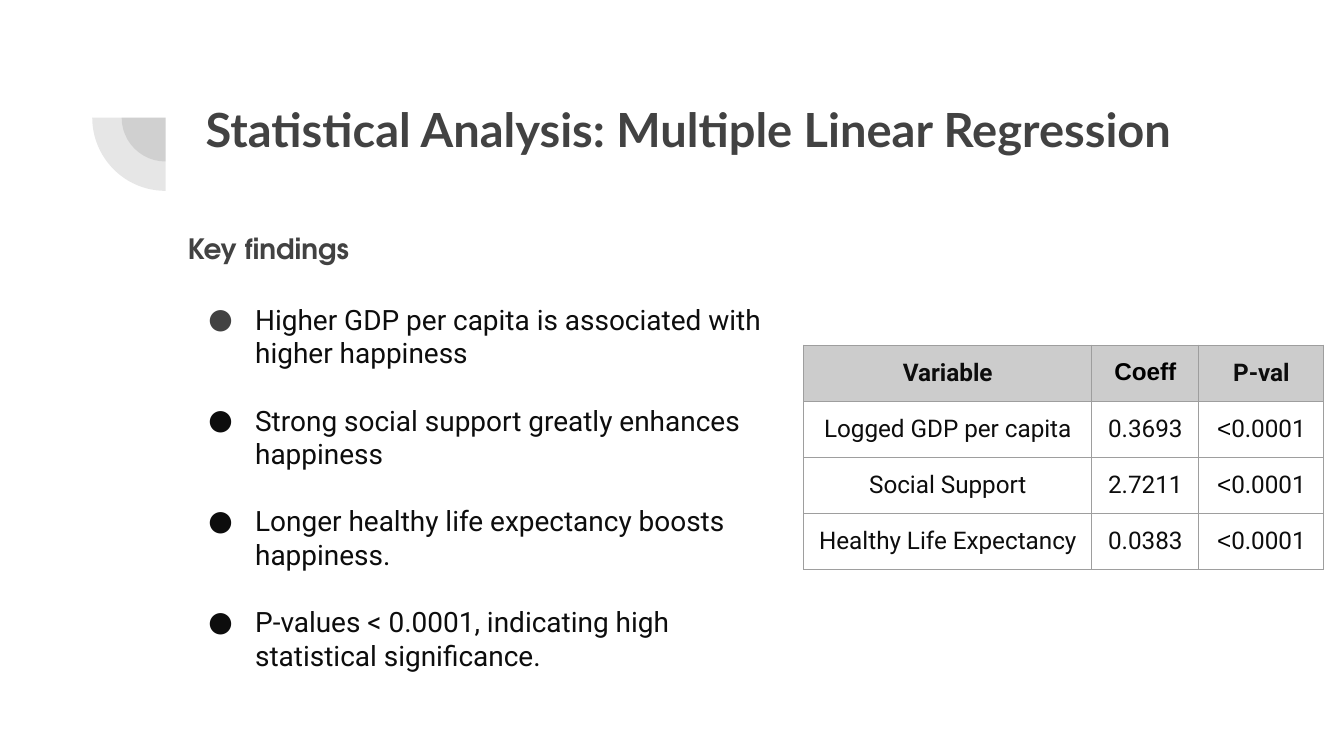
from lxml import etree
from pptx import Presentation
from pptx import util as u
from pptx.dml import color
from pptx.enum import shapes, text
from pptx.oxml import ns

Pt = u.Pt
GRAY = color.RGBColor(0x42, 0x42, 0x42)
INK = color.RGBColor(0x0D, 0x0D, 0x0D)
BLACK = color.RGBColor(0, 0, 0)
WHITE = color.RGBColor(0xFF, 0xFF, 0xFF)
HEADER = color.RGBColor(0xCC, 0xCC, 0xCC)
BORDER = color.RGBColor(0x9E, 0x9E, 0x9E)


def write(para, words, size=15, font="Roboto", ink=INK, bold=False):
    span = para.add_run()
    span.text = words
    span.font.size = Pt(size)
    span.font.name = font
    span.font.bold = bold
    span.font.color.rgb = ink


def add_xml(parent, tag, **attributes):
    return etree.SubElement(parent, ns.qn(tag), attributes)


deck = Presentation()
deck.slide_width, deck.slide_height = Pt(720), Pt(405)
page = deck.slides.add_slide(deck.slide_layouts[5])

# Quarter-circle ornament: two translucent pies with a common centre
for radius in (23.5, 39.25):
    pie = page.shapes.add_shape(shapes.MSO_SHAPE.PIE, Pt(88.7 - radius), Pt(63 - radius),
                                Pt(2 * radius), Pt(2 * radius))
    pie.rotation = 270
    pie.adjustments[0], pie.adjustments[1] = 108, 162
    pie.shadow.inherit = False
    pie.line.fill.background()
    pie.fill.solid()
    pie.fill.fore_color.rgb = GRAY
    add_xml(pie.fill._xPr.find(".//" + ns.qn("a:srgbClr")), "a:alpha", val="13000")

# Title, subtitle and body frames
title = page.shapes.title
title.left, title.top, title.width, title.height = Pt(103), Pt(46.8), Pt(581), Pt(42.5)
subtitle = page.shapes.add_textbox(Pt(93.6), Pt(116.6), Pt(172), Pt(38.2))
findings = page.shapes.add_textbox(Pt(93.6), Pt(154.8), Pt(337), Pt(233.3))
for box in (title, subtitle, findings):
    frame = box.text_frame
    frame.word_wrap = True
    frame.auto_size = text.MSO_AUTO_SIZE.NONE
    frame.vertical_anchor = text.MSO_ANCHOR.TOP
    frame.margin_left = frame.margin_right = frame.margin_top = frame.margin_bottom = Pt(7.2)
    frame.paragraphs[0].alignment = text.PP_ALIGN.LEFT

write(title.text_frame.paragraphs[0], "Statistical Analysis: Multiple Linear Regression",
      size=25.2, font="Lato", ink=GRAY, bold=True)
write(subtitle.text_frame.paragraphs[0], "Key findings",
      font="TeX Gyre Adventor", ink=GRAY, bold=True)

# Bulleted findings
points = [
    "Higher GDP per capita is associated with higher happiness",
    "Strong social support greatly enhances happiness",
    "Longer healthy life expectancy boosts happiness.",
    "P-values < 0.0001, indicating high statistical significance.",
]
for index, point in enumerate(points):
    frame = findings.text_frame
    para = frame.add_paragraph() if index else frame.paragraphs[0]
    para.space_before = Pt(18 if index else 0)
    write(para, point)
    props = para._p.get_or_add_pPr()
    props.set("marL", str(Pt(36)))
    props.set("indent", str(Pt(-25)))
    bullet_color = add_xml(props, "a:buClr")
    add_xml(bullet_color, "a:srgbClr", val=str(INK if index else GRAY))
    add_xml(props, "a:buFont", typeface="Roboto")
    add_xml(props, "a:buChar", char="●")

# Regression table
rows = [
    ("Variable", "Coeff", "P-val"),
    ("Logged GDP per capita", "0.3693", "<0.0001"),
    ("Social Support", "2.7211", "<0.0001"),
    ("Healthy Life Expectancy", "0.0383", "<0.0001"),
]
widths = (154.4, 57.4, 67)
table = page.shapes.add_table(len(rows), len(widths), Pt(430.5), Pt(185),
                              Pt(sum(widths)), Pt(30 * len(rows))).table
table.horz_banding = False
for column, width in zip(table.columns, widths):
    column.width = Pt(width)
for r, row in enumerate(rows):
    table.rows[r].height = Pt(30)
    for c, words in enumerate(row):
        cell = table.cell(r, c)
        cell.margin_left = cell.margin_right = cell.margin_top = cell.margin_bottom = Pt(7.2)
        para = cell.text_frame.paragraphs[0]
        para.alignment = text.PP_ALIGN.CENTER
        if words.startswith("<"):
            write(para, "<", size=13, font="Arial", ink=BLACK)
            words = words[1:]
        arial = words == "Coeff"
        write(para, words, size=13, font="Arial" if arial else "Roboto",
              ink=BLACK if arial else INK, bold=r == 0)
        props = cell._tc.get_or_add_tcPr()
        for side in ("a:lnL", "a:lnR", "a:lnT", "a:lnB"):
            line = add_xml(props, side, w=str(Pt(0.75)))
            add_xml(add_xml(line, "a:solidFill"), "a:srgbClr", val=str(BORDER))
        cell.fill.solid()
        cell.fill.fore_color.rgb = WHITE if r else HEADER

deck.save("out.pptx")
